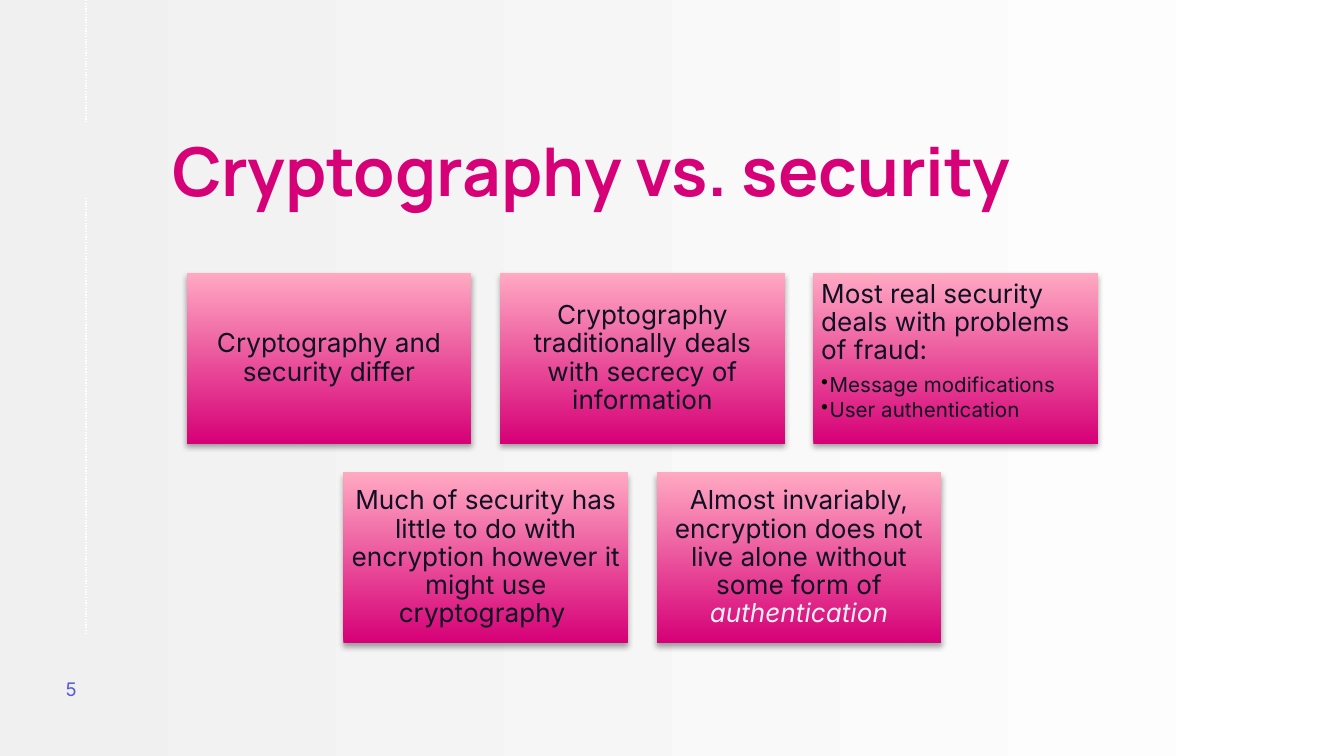
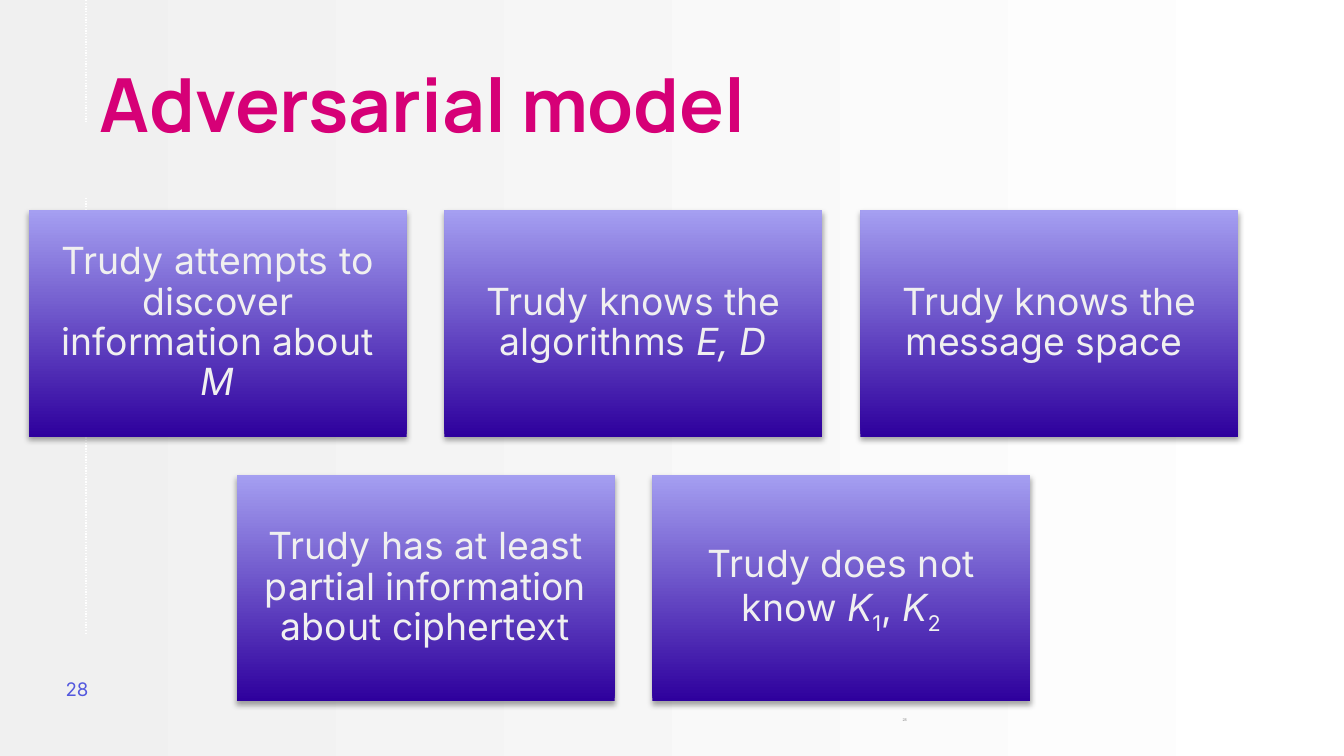
from lxml import etree
from pptx import Presentation
from pptx import util as u
from pptx.dml.color import RGBColor
from pptx.enum import dml, shapes, text
from pptx.oxml import ns

Pt = u.Pt
ALIGN, ANCHOR = text.PP_ALIGN, text.MSO_ANCHOR
WHITE = RGBColor(0xFF, 0xFF, 0xFF)
PALE = RGBColor(0xF0, 0xF0, 0xF0)
INK = RGBColor(0x10, 0x10, 0x23)
GREY = RGBColor(0x89, 0x89, 0x89)
BLUE = RGBColor(0x53, 0x58, 0xDE)
PINK = RGBColor(0xD6, 0x00, 0x77)
LIGHT_PINK = RGBColor(0xFF, 0xA9, 0xC2)
PURPLE = RGBColor(0x2E, 0x00, 0x9D)
LIGHT_PURPLE = RGBColor(0xA5, 0x9F, 0xF1)
BLACK = "000000"

ITALIC = {"italic": True}
SUB = {"baseline": -25000}

SECURITY_CARDS = [
    [("Cryptography and security differ", {})],
    [("Cryptography traditionally deals with secrecy of information", {})],
    [("Most real security deals with problems of fraud:", {})],
    [("Much of security has little to do with encryption however it "
      "might use cryptography ", {})],
    [("Almost invariably, encryption does not live alone without some form of ", {}),
     ("authentication", {"italic": True, "color": PALE})],
]
FRAUD_KINDS = ["Message modifications", "User authentication"]
ADVERSARY_CARDS = [
    [("Trudy attempts to discover information about ", {}), ("M", ITALIC)],
    [("Trudy knows the algorithms ", {}), ("E, D", ITALIC)],
    [("Trudy knows the message space ", {})],
    [("Trudy has at least partial information about ciphertext", {})],
    [("Trudy does not know ", {}), ("K", ITALIC), ("1", SUB), (", ", {}),
     ("K", ITALIC), ("2", SUB)],
]


def sub(parent, tag, **attrs):
    el = etree.SubElement(parent, ns.qn(tag))
    for key, value in attrs.items():
        el.set(key, str(value))
    return el


def set_gradient(fill, start, end, angle):
    fill.gradient()
    fill.gradient_angle = angle
    for stop, color, position in zip(fill.gradient_stops, (start, end), (0, 1)):
        stop.color.rgb = color
        stop.position = position


def set_frame(tf, inset, anchor):
    sides = {f"margin_{side}": Pt(inset) for side in ("left", "right", "top", "bottom")}
    formats = {"word_wrap": True, "auto_size": text.MSO_AUTO_SIZE.NONE,
               "vertical_anchor": anchor, **sides}
    for name, value in formats.items():
        setattr(tf, name, value)


def set_paragraph(p, align, line_spacing, after=0):
    formats = {"alignment": align, "line_spacing": line_spacing,
               "space_before": Pt(0), "space_after": Pt(after)}
    for name, value in formats.items():
        setattr(p, name, value)


def add_run(p, words, size, color, name="Inter", bold=False, italic=False, baseline=0):
    r = p.add_run()
    r.text = words
    formats = {"name": name, "size": Pt(size), "bold": bold, "italic": italic}
    for key, value in formats.items():
        setattr(r.font, key, value)
    r.font.color.rgb = color
    if baseline:
        r._r.get_or_add_rPr().set("baseline", str(baseline))


def add_rule(s, top, bottom):
    x = Pt(46)
    rule = s.shapes.add_connector(shapes.MSO_CONNECTOR.STRAIGHT, x, Pt(top), x, Pt(bottom))
    rule.line.color.rgb = WHITE
    rule.line.width = Pt(0.75)
    rule.line.dash_style = dml.MSO_LINE.ROUND_DOT
    sub(rule._element.spPr, "a:effectLst")


def add_number(s, number, box, size, color, name, line_spacing=1.0):
    tf = s.shapes.add_textbox(*map(Pt, box)).text_frame
    set_frame(tf, 7.2, ANCHOR.MIDDLE)
    p = tf.paragraphs[0]
    set_paragraph(p, ALIGN.LEFT, line_spacing)
    add_run(p, number, size, color, name)


def add_slide(prs, title, left, top, size, number):
    s = prs.slides.add_slide(prs.slide_layouts[5])
    for ends in ((0, 66), (106, 339)):
        add_rule(s, *ends)
    add_number(s, number, (28, 353.5, 43, 31), 10, BLUE, "Inter")
    sp = s.shapes.title
    box = {"left": left, "top": top, "width": 470, "height": 53}
    for name, value in box.items():
        setattr(sp, name, Pt(value))
    set_frame(sp.text_frame, 7.2, ANCHOR.TOP)
    p = sp.text_frame.paragraphs[0]
    set_paragraph(p, ALIGN.LEFT, 0.8)
    add_run(p, title, size, PINK, "Manrope", bold=True)
    return s


def add_shadow(sp):
    sp.shadow.inherit = False
    effects = sp._element.spPr.find(ns.qn("a:effectLst"))
    shadow = sub(effects, "a:outerShdw", blurRad=Pt(3.1), dist=Pt(1.8),
                 dir=5400000, rotWithShape=0)
    sub(sub(shadow, "a:srgbClr", val=BLACK), "a:alpha", val=35000)


def add_card(s, left, top, width, height, runs, style):
    sp = s.shapes.add_shape(shapes.MSO_SHAPE.RECTANGLE, *map(Pt, (left, top, width, height)))
    set_gradient(sp.fill, *style["gradient"], 90)
    sp.line.fill.background()
    add_shadow(sp)
    set_frame(sp.text_frame, style["inset"], ANCHOR.MIDDLE)
    p = sp.text_frame.paragraphs[0]
    set_paragraph(p, ALIGN.CENTER, 0.9, 0.35 * style["size"])
    for words, formats in runs:
        add_run(p, words, **{"size": style["size"], "color": style["color"], **formats})
    return sp


def add_cards(s, left, top, width, cards, style, columns=3):
    height, pitch = 0.6 * width, 1.1 * width
    placed = []
    for i, runs in enumerate(cards):
        row, column = divmod(i, columns)
        in_row = min(columns, len(cards) - row * columns)
        x = left + (column + (columns - in_row) / 2) * pitch
        y = top + row * (height + 0.1 * width)
        placed.append(add_card(s, x, y, width, height, runs, style))
    return placed


def add_bullets(sp, items, size, color):
    tf = sp.text_frame
    tf.vertical_anchor = ANCHOR.TOP
    tf.paragraphs[0].alignment = ALIGN.LEFT
    for item in items:
        p = tf.add_paragraph()
        p.level = 1
        set_paragraph(p, ALIGN.LEFT, 0.9, 0.15 * size)
        pPr = p._p.get_or_add_pPr()
        pPr.set("marL", str(Pt(4.5)))
        pPr.set("indent", str(-Pt(4.5)))
        sub(sub(pPr, "a:buClr"), "a:srgbClr", val=BLACK)
        sub(pPr, "a:buChar", char="•")
        add_run(p, item, size, color)


def main():
    prs = Presentation()
    prs.slide_width, prs.slide_height = Pt(720), Pt(405)
    set_gradient(prs.slide_master.background.fill, WHITE, PALE, 180)

    s = add_slide(prs, "Cryptography vs. security", 85, 70.5, 36, "5")
    style = {"gradient": (PINK, LIGHT_PINK), "size": 14, "color": INK, "inset": 4.2}
    cards = add_cards(s, 100, 146.3, 152.6, SECURITY_CARDS, style)
    add_bullets(cards[2], FRAUD_KINDS, 11, INK)

    s = add_slide(prs, "Adversarial model", 46, 33, 40, "28")
    add_number(s, "28", (476.5, 375, 126, 21.5), 2.2, GREY, "Calibri", 0.8)
    style = {"gradient": (PURPLE, LIGHT_PURPLE), "size": 20, "color": PALE, "inset": 6}
    add_cards(s, 15.4, 112.5, 202.5, ADVERSARY_CARDS, style)

    prs.save("out.pptx")


if __name__ == "__main__":
    main()
